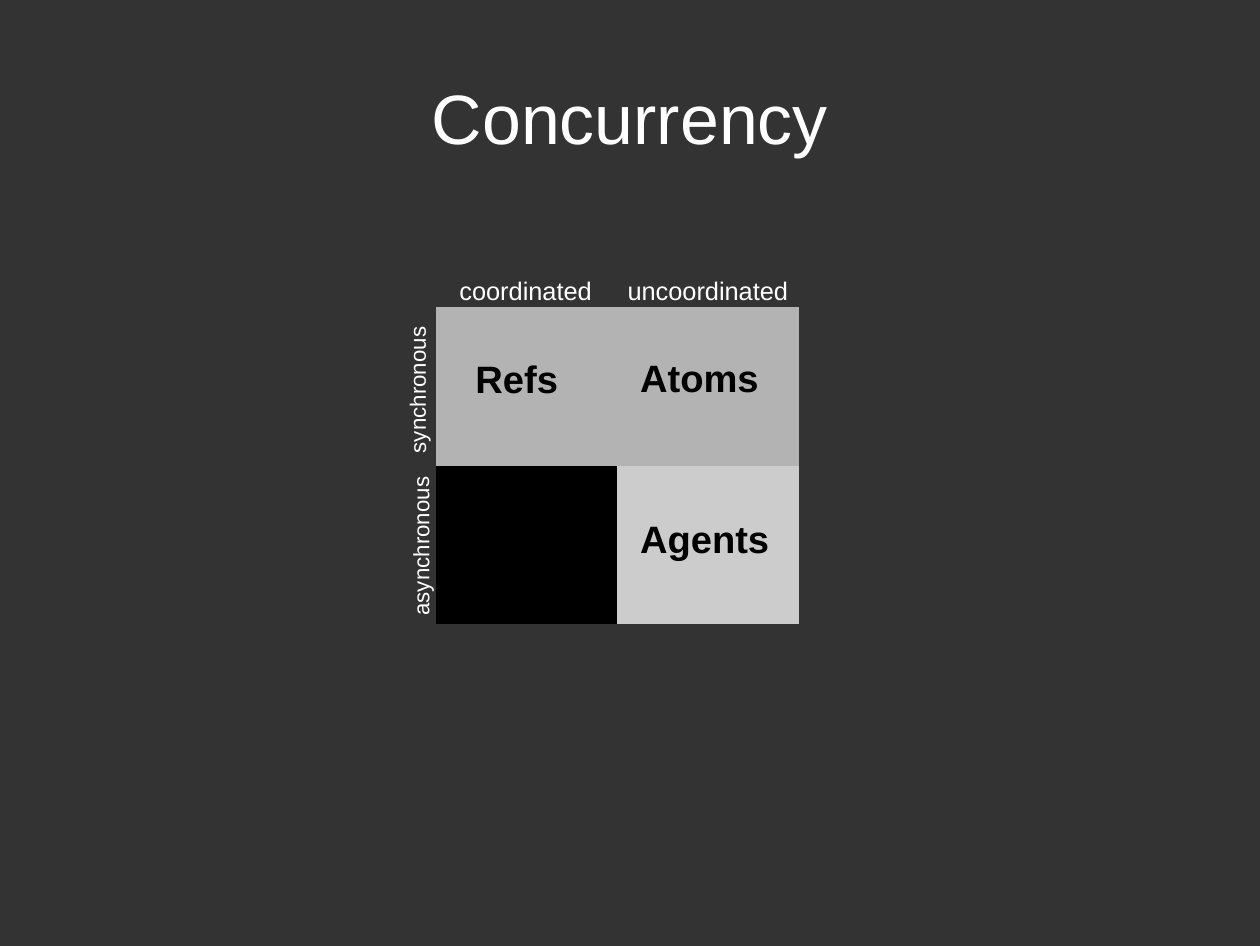
import pptx
import pptx.dml.color
import pptx.enum.text
import pptx.util

Inches = pptx.util.Inches
RGBColor = pptx.dml.color.RGBColor

BACKGROUND = RGBColor(0x33, 0x33, 0x33)
WHITE = RGBColor(0xFF, 0xFF, 0xFF)
BLACK = RGBColor(0x00, 0x00, 0x00)
MID_GREY = RGBColor(0xB3, 0xB3, 0xB3)
LIGHT_GREY = RGBColor(0xCC, 0xCC, 0xCC)

TITLE = "Concurrency"
CELL_FILLS = [[MID_GREY, MID_GREY], [BLACK, LIGHT_GREY]]
COLUMN_LABELS = [("coordinated", 3.92, 2.36), ("uncoordinated", 5.39, 2.36)]
ROW_LABELS = [("asynchronous", 2.87, 4.52), ("synchronous", 2.84, 3.1)]
REFERENCE_TYPES = [("Atoms", 5.5, 3.05), ("Refs", 4.06, 3.06), ("Agents", 5.5, 4.46)]
GRID_LEFT, GRID_TOP = 3.81, 2.68
CELL_WIDTH, CELL_HEIGHT = 1.59, 1.39
NO_GRID_STYLE = "{2D5ABB26-0587-4C30-8999-92F81FD0307C}"


def set_font(para, size, color, bold=False):
    """Format one paragraph."""
    para.font.name = "Arial"
    para.font.size = pptx.util.Pt(size)
    para.font.color.rgb = color
    para.font.bold = bold


def add_title(page):
    """Place and format the title placeholder."""
    title = page.shapes.title
    title.left, title.top = Inches(0.55), Inches(0.33)
    title.width, title.height = Inches(9.92), Inches(1.38)
    frame = title.text_frame
    frame.text = TITLE
    frame.margin_left = frame.margin_right = frame.margin_top = frame.margin_bottom = 0
    frame.vertical_anchor = pptx.enum.text.MSO_ANCHOR.MIDDLE
    frame.paragraphs[0].alignment = pptx.enum.text.PP_ALIGN.CENTER
    set_font(frame.paragraphs[0], 44, WHITE)


def add_grid(page):
    """Add the table of coloured cells without grid lines."""
    rows, columns = len(CELL_FILLS), len(CELL_FILLS[0])
    table = page.shapes.add_table(
        rows, columns, Inches(GRID_LEFT), Inches(GRID_TOP),
        Inches(columns * CELL_WIDTH), Inches(rows * CELL_HEIGHT)).table
    table.first_row = table.horz_banding = False
    table._tbl.tblPr[0].text = NO_GRID_STYLE
    for row, fills in enumerate(CELL_FILLS):
        for column, color in enumerate(fills):
            fill = table.cell(row, column).fill
            fill.solid()
            fill.fore_color.rgb = color


def add_labels(page, labels, width, height, size, color, bold=False, rotation=0):
    """Add a group of text boxes that share one format."""
    for text, left, top in labels:
        box = page.shapes.add_textbox(Inches(left), Inches(top), Inches(width), Inches(height))
        box.rotation = rotation
        frame = box.text_frame
        frame.word_wrap = True
        frame.margin_right = 0
        frame.text = text
        set_font(frame.paragraphs[0], size, color, bold)


def main():
    """Build the concurrency slide."""
    deck = pptx.Presentation()
    deck.slide_width, deck.slide_height = Inches(11.02), Inches(8.27)
    page = deck.slides.add_slide(deck.slide_layouts[5])
    page.background.fill.solid()
    page.background.fill.fore_color.rgb = BACKGROUND
    add_title(page)
    add_grid(page)
    add_labels(page, COLUMN_LABELS, 1.6, 0.35, 16, WHITE)
    add_labels(page, ROW_LABELS, 1.6, 0.32, 14, WHITE, rotation=269.8)
    add_labels(page, REFERENCE_TYPES, 1.4, 0.47, 24, BLACK, bold=True)
    deck.save("out.pptx")


if __name__ == "__main__":
    main()
